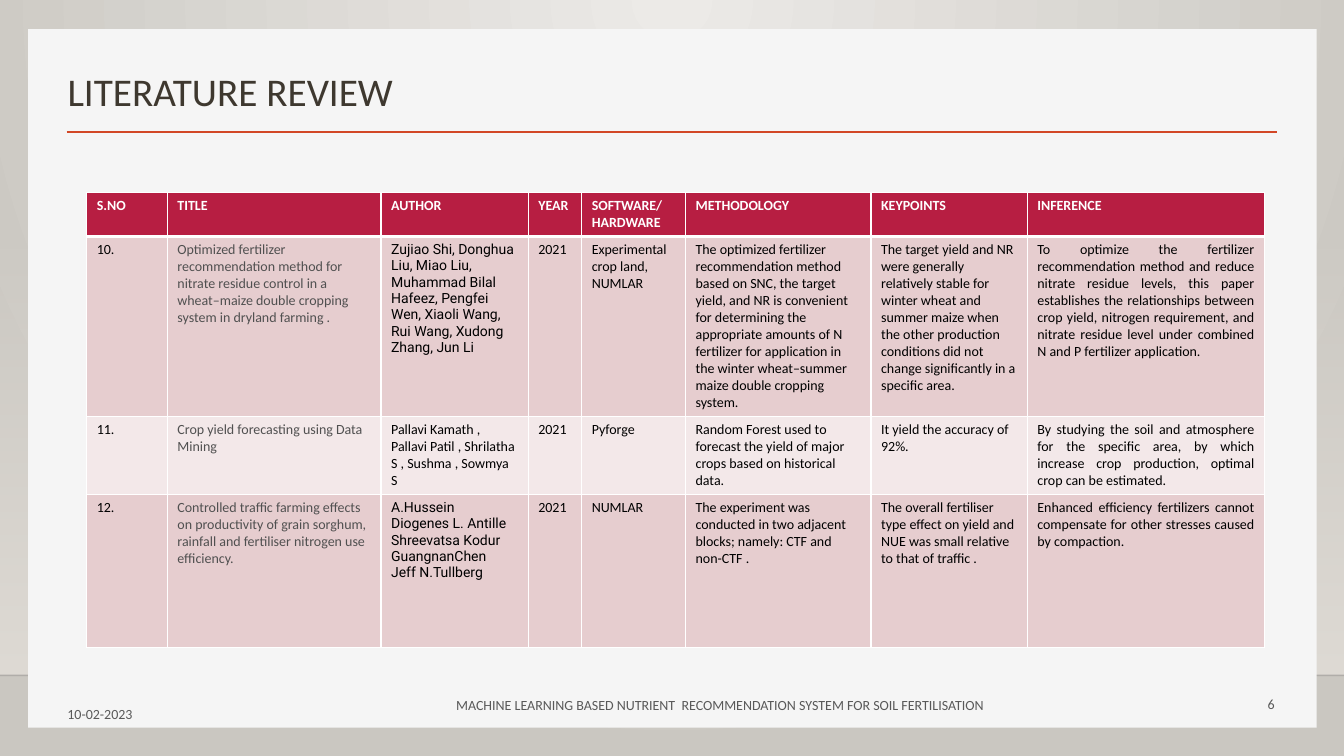
from pptx import Presentation
from pptx.dml.color import RGBColor
from pptx.enum import shapes, text
from pptx.oxml import parse_xml
from pptx.oxml.ns import nsdecls, qn
from pptx.util import Inches, Pt

TITLE = "LITERATURE REVIEW"
FOOTERS = [
    ("10-02-2023", 0.57, 6.88, 3.58, "LEFT"),
    ("6", 9.16, 6.78, 3.58, "RIGHT"),
    ("MACHINE LEARNING BASED NUTRIENT  RECOMMENDATION SYSTEM FOR SOIL FERTILISATION",
     3.94, 6.79, 6.4, "CENTER"),
]
COLS = [0.8, 2.12, 1.46, 0.53, 1.03, 1.84, 1.55, 2.35]
ROWS = [0.39, 1.13, 0.74, 1.52]
ROW_FILLS = ["B71E42", "E6CDCF", "F3E8E9", "E6CDCF"]
AUTHOR_FONTS = ["Calibri", "Roboto", "Calibri", "Roboto"]
TITLE_COL, AUTHOR_COL, INFERENCE_COL = 1, 2, 7
CELLS = [
    ["S.NO", "TITLE", "AUTHOR", "YEAR", "SOFTWARE/HARDWARE", "METHODOLOGY",
     "KEYPOINTS", "INFERENCE"],
    ["10.",
     "Optimized fertilizer recommendation method for nitrate residue control in a "
     "wheat–maize double cropping system in dryland farming .",
     "Zujiao Shi, Donghua Liu, Miao Liu, Muhammad Bilal Hafeez, Pengfei Wen, "
     "Xiaoli Wang, Rui Wang, Xudong Zhang, Jun Li",
     "2021",
     "Experimental crop land, NUMLAR",
     "The optimized fertilizer recommendation method based on SNC, the target yield, "
     "and NR is convenient for determining the appropriate amounts of N fertilizer for "
     "application in the winter wheat–summer maize double cropping system.",
     "The target yield and NR were generally relatively stable for winter wheat and "
     "summer maize when the other production conditions did not change significantly "
     "in a specific area.",
     "To optimize the fertilizer recommendation method and reduce nitrate residue "
     "levels, this paper establishes the relationships between crop yield, nitrogen "
     "requirement, and nitrate residue level under combined N and P fertilizer "
     "application. "],
    ["11.",
     "Crop yield forecasting using Data Mining",
     "Pallavi Kamath , Pallavi Patil , Shrilatha S , Sushma , Sowmya S",
     "2021",
     "Pyforge",
     "Random Forest used to forecast the yield of major crops based on historical data.",
     "It yield the accuracy of 92%.",
     "By studying the soil and atmosphere for the specific area, by which increase crop "
     "production, optimal crop can be estimated."],
    ["12.",
     "Controlled traffic farming effects on productivity of grain sorghum, rainfall and "
     "fertiliser nitrogen use efficiency.",
     "A.Hussein\nDiogenes L. Antille\nShreevatsa Kodur\nGuangnanChen\nJeff N.Tullberg",
     "2021",
     "NUMLAR",
     "The experiment was conducted in two adjacent blocks; namely: CTF and non-CTF .",
     "The overall fertiliser type effect on yield and NUE was small relative to that of "
     "traffic .",
     "Enhanced efficiency fertilizers cannot compensate for other stresses caused by "
     "compaction."],
]


def rgb(value):
    return RGBColor.from_string(value)


def gradient(stops, direction):
    gs = "".join(
        f'<a:gs pos="{pos * 1000}"><a:srgbClr val="{color}">'
        f'<a:alpha val="{alpha * 1000}"/></a:srgbClr></a:gs>'
        for pos, color, alpha in stops)
    return parse_xml(f'<a:gradFill {nsdecls("a")} rotWithShape="1">'
                     f'<a:gsLst>{gs}</a:gsLst>{direction}</a:gradFill>')


def set_gradient(fill, parent, stops, direction):
    fill.gradient()
    old = parent.find(qn("a:gradFill"))
    parent.replace(old, gradient(stops, direction))


def write(tf, content, size, color, font="Calibri", bold=False, align="LEFT"):
    for i, line in enumerate(content.split("\n")):
        p = tf.add_paragraph() if i else tf.paragraphs[0]
        p.alignment = getattr(text.PP_ALIGN, align)
        r = p.add_run()
        r.text = line
        r.font.size, r.font.name, r.font.bold = Pt(size), font, bold
        r.font.color.rgb = rgb(color)


def add_panel(s, x, y, w, h):
    sp = s.shapes.add_shape(shapes.MSO_SHAPE.RECTANGLE,
                            Inches(x), Inches(y), Inches(w), Inches(h))
    sp.shadow.inherit = False
    sp.line.fill.background()
    return sp


def add_rule(s, x1, x2, y, color, width):
    line = s.shapes.add_connector(shapes.MSO_CONNECTOR.STRAIGHT,
                                  Inches(x1), Inches(y), Inches(x2), Inches(y))
    line.line.color.rgb = rgb(color)
    line.line.width = Pt(width)
    line._element.spPr.append(parse_xml(f'<a:effectLst {nsdecls("a")}/>'))
    return line


def add_borders(cell, bottom):
    tcPr = cell._tc.get_or_add_tcPr()
    for side, width in (("L", 1), ("R", 1), ("T", 1), ("B", bottom)):
        tcPr.append(parse_xml(
            f'<a:ln{side} {nsdecls("a")} w="{Pt(width)}"><a:solidFill>'
            f'<a:srgbClr val="FFFFFF"/></a:solidFill></a:ln{side}>'))


def add_backdrop(s):
    fill = s.background.fill
    set_gradient(fill, s._element.cSld.bg.bgPr,
                 [(0, "ECEAE7", 100), (100, "CAC7C1", 100)],
                 '<a:path path="circle">'
                 '<a:fillToRect l="43000" t="0" r="43000" b="100000"/></a:path>')
    wall = add_panel(s, 0, 2.21, 13.33, 4.49)
    set_gradient(wall.fill, wall._element.spPr,
                 [(0, "DFDBD5", 0), (100, "DFDBD5", 100)],
                 '<a:lin ang="5400000" scaled="0"/>')
    horizon = add_rule(s, 0, 13.33, 6.7, "000001", 1)
    color = horizon._element.spPr.find(".//" + qn("a:srgbClr"))
    color.append(parse_xml(f'<a:alpha {nsdecls("a")} val="20000"/>'))
    sheet = add_panel(s, 0.28, 0.29, 12.78, 6.93)
    sheet.fill.solid()
    sheet.fill.fore_color.rgb = rgb("F5F5F5")
    add_rule(s, 0.66, 12.67, 1.31, "D24726", 2)


def add_title(s):
    sp = s.shapes.title
    s.shapes._spTree.append(sp._element)
    sp.left, sp.top, sp.width, sp.height = map(Inches, (0.57, 0.49, 7.52, 0.7))
    tf = sp.text_frame
    tf.auto_size = text.MSO_AUTO_SIZE.NONE
    tf.vertical_anchor = text.MSO_ANCHOR.BOTTOM
    write(tf, TITLE, 28, "3E382F")
    tf.paragraphs[0].line_spacing = 0.9


def add_review_table(s):
    table = s.shapes.add_table(len(ROWS), len(COLS), Inches(0.86), Inches(1.91),
                               Inches(sum(COLS)), Inches(sum(ROWS))).table
    table.horz_banding = False
    for col, width in zip(table.columns, COLS):
        col.width = Inches(width)
    for i, height in enumerate(ROWS):
        table.rows[i].height = Inches(height)
        head = i == 0
        for j, content in enumerate(CELLS[i]):
            cell = table.cell(i, j)
            add_borders(cell, 3 if head else 1)
            cell.fill.solid()
            cell.fill.fore_color.rgb = rgb(ROW_FILLS[i])
            color = "FFFFFF" if head else "505050" if j == TITLE_COL else "000000"
            font = AUTHOR_FONTS[i] if j == AUTHOR_COL else "Calibri"
            align = "JUSTIFY" if j == INFERENCE_COL and not head else "LEFT"
            write(cell.text_frame, content, 10, color, font, head, align)


def add_footers(s):
    for content, x, y, w, align in FOOTERS:
        tf = s.shapes.add_textbox(Inches(x), Inches(y), Inches(w), Inches(0.4)).text_frame
        tf.word_wrap = True
        tf.vertical_anchor = text.MSO_ANCHOR.MIDDLE
        write(tf, content, 10, "595959", align=align)


def main():
    prs = Presentation()
    prs.slide_width, prs.slide_height = Inches(13.33), Inches(7.5)
    s = prs.slides.add_slide(prs.slide_layouts[5])
    add_backdrop(s)
    add_title(s)
    add_review_table(s)
    add_footers(s)
    prs.save("out.pptx")


if __name__ == "__main__":
    main()
